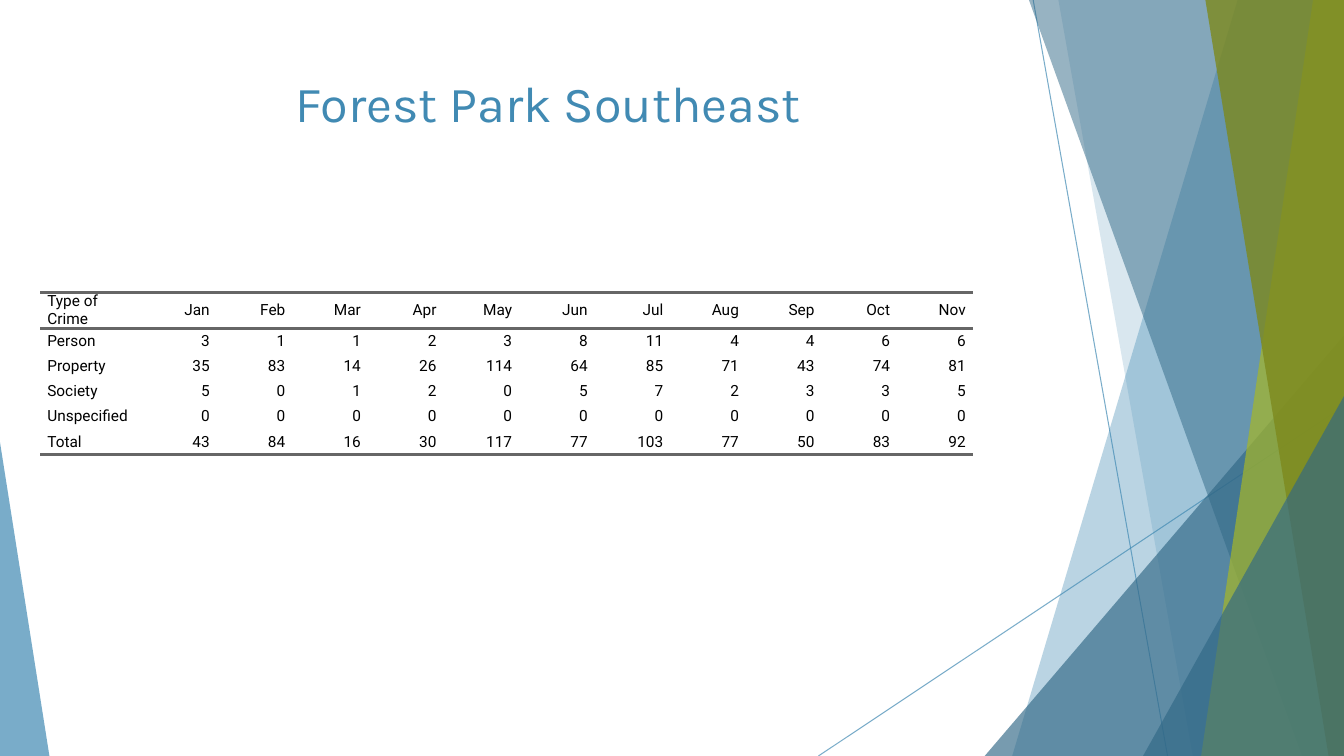
from dataclasses import dataclass
from typing import Any

from lxml import etree
from pptx import Presentation
from pptx.dml.color import RGBColor
from pptx.enum.shapes import MSO_CONNECTOR, MSO_SHAPE
from pptx.enum.text import MSO_ANCHOR, PP_ALIGN
from pptx.oxml.ns import qn
from pptx.util import Pt

STRAIGHT = MSO_CONNECTOR.STRAIGHT
TRIANGLE = MSO_SHAPE.ISOSCELES_TRIANGLE
TOP, MIDDLE = MSO_ANCHOR.TOP, MSO_ANCHOR.MIDDLE
LEFT, CENTER, RIGHT = PP_ALIGN.LEFT, PP_ALIGN.CENTER, PP_ALIGN.RIGHT


@dataclass(frozen=True)
class Theme:
    blue: str = "418AB3"
    dark_blue: str = "316886"
    green: str = "A6B727"
    dark_green: str = "7D891D"
    rule: str = "666666"
    ink: str = "000000"
    title_font: str = "Karla"
    table_font: str = "Roboto"
    title_size: float = 36
    table_size: float = 11
    hairline: float = 0.75
    rule_width: float = 2


@dataclass(frozen=True)
class Ray:
    start: tuple[float, float]
    end: tuple[float, float]


@dataclass(frozen=True)
class Ribbon:
    top_left: float
    bottom_left: float
    color: str
    opacity: int


@dataclass(frozen=True)
class Wedge:
    left: float
    top: float
    width: float
    apex: float
    color: str
    opacity: int


THEME = Theme()
WIDTH, HEIGHT = 960, 540
TITLE = "Forest Park Southeast"
TITLE_BOX = {"left": Pt(53.3), "top": Pt(48.2), "width": Pt(676.8), "height": Pt(103.7)}
TABLE_LEFT, TABLE_TOP = 28.8, 208.8
LABEL_WIDTH, MONTH_WIDTH, ROW_HEIGHT, CELL_INDENT = 72, 54, 18, 5
NO_GRID_STYLE = "{2D5ABB26-0587-4C30-8999-92F81FD0307C}"

RAYS = [Ray((738, 0), (834, HEIGHT)), Ray((WIDTH, 290), (584.6, HEIGHT))]
BANDS: list[Ribbon | Wedge] = [
    Ribbon(884, 723, THEME.blue, 36),
    Ribbon(756, 852, THEME.blue, 20),
    Wedge(703.4, 239.8, 256.6, 1, THEME.dark_blue, 66),
    Ribbon(735, 929.5, THEME.dark_blue, 50),
    Ribbon(938, 858, THEME.green, 70),
    Ribbon(861, 949, THEME.dark_green, 80),
    Wedge(816.5, 283, 143.5, 1, THEME.dark_blue, 66),
    Wedge(0, 316, 35.3, 0, THEME.blue, 70),
]

MONTHS = ["Jan", "Feb", "Mar", "Apr", "May", "Jun", "Jul", "Aug", "Sep", "Oct", "Nov"]
CRIMES = {
    "Person": [3, 1, 1, 2, 3, 8, 11, 4, 4, 6, 6],
    "Property": [35, 83, 14, 26, 114, 64, 85, 71, 43, 74, 81],
    "Society": [5, 0, 1, 2, 0, 5, 7, 2, 3, 3, 5],
    "Unspecified": [0] * len(MONTHS),
}


def apply_format(target: Any, values: dict[str, Any]) -> None:
    for name, value in values.items():
        setattr(target, name, value)


def format_font(font: Any, name: str, size: float, color: str) -> None:
    apply_format(font, {"name": name, "size": Pt(size), "bold": False})
    font.color.rgb = RGBColor.from_string(color)


def set_opacity(shape: Any, percent: int) -> None:
    color = shape.element.spPr.find(".//" + qn("a:srgbClr"))
    etree.SubElement(color, qn("a:alpha"), val=str(percent * 1000))


def draw_ray(slide: Any, ray: Ray) -> None:
    connector = slide.shapes.add_connector(STRAIGHT, *map(Pt, ray.start + ray.end))
    connector.line.width = Pt(THEME.hairline)
    connector.line.color.rgb = RGBColor.from_string(THEME.blue)
    set_opacity(connector, 70)
    etree.SubElement(connector.element.spPr, qn("a:effectLst"))


def draw_band(slide: Any, band: Ribbon | Wedge) -> None:
    if isinstance(band, Ribbon):
        builder = slide.shapes.build_freeform(band.top_left, 0, scale=Pt(1))
        builder.add_line_segments(
            [(WIDTH, 0), (WIDTH, HEIGHT), (band.bottom_left, HEIGHT)], close=True
        )
        shape = builder.convert_to_shape()
    else:
        box = (band.left, band.top, band.width, HEIGHT - band.top)
        shape = slide.shapes.add_shape(TRIANGLE, *map(Pt, box))
        shape.adjustments[0] = band.apex
    shape.shadow.inherit = False
    shape.line.fill.background()
    shape.fill.solid()
    shape.fill.fore_color.rgb = RGBColor.from_string(band.color)
    set_opacity(shape, band.opacity)


def add_rule(cell: Any, tag: str) -> None:
    line = etree.Element(qn(tag), w=str(Pt(THEME.rule_width)))
    fill = etree.SubElement(line, qn("a:solidFill"))
    etree.SubElement(fill, qn("a:srgbClr"), val=THEME.rule)
    cell._tc.get_or_add_tcPr().insert(0, line)


def fill_cell(cell: Any, text: str, alignment: Any) -> None:
    cell.text = text
    cell.fill.background()
    margins = ("margin_left", "margin_right", "margin_top", "margin_bottom")
    apply_format(cell, {"vertical_anchor": MIDDLE} | dict.fromkeys(margins, 0))
    paragraph = cell.text_frame.paragraphs[0]
    paragraph.alignment = alignment
    properties = paragraph._p.get_or_add_pPr()
    for name in ("marL", "marR"):
        properties.set(name, str(Pt(CELL_INDENT)))
    format_font(paragraph.runs[0].font, THEME.table_font, THEME.table_size, THEME.ink)


def draw_table(slide: Any) -> None:
    totals = [sum(month) for month in zip(*CRIMES.values())]
    counts = CRIMES | {"Total": totals}
    rows = [["Type of Crime", *MONTHS]] + [[name, *values] for name, values in counts.items()]
    widths = [LABEL_WIDTH] + [MONTH_WIDTH] * len(MONTHS)
    box = (TABLE_LEFT, TABLE_TOP, sum(widths), ROW_HEIGHT * len(rows))
    frame = slide.shapes.add_table(len(rows), len(widths), *map(Pt, box))
    table = frame.table
    apply_format(table, {"first_row": False, "horz_banding": False})
    next(frame.element.iter(qn("a:tableStyleId"))).text = NO_GRID_STYLE
    for column, width in zip(table.columns, widths):
        column.width = Pt(width)
    for row_index, values in enumerate(rows):
        table.rows[row_index].height = Pt(ROW_HEIGHT)
        for column_index, value in enumerate(values):
            cell = table.cell(row_index, column_index)
            fill_cell(cell, str(value), RIGHT if column_index else LEFT)
            if row_index in (0, len(rows) - 1):
                add_rule(cell, "a:lnB")
            if row_index == 0:
                add_rule(cell, "a:lnT")


def write_title(slide: Any) -> None:
    title = slide.shapes.title
    apply_format(title, TITLE_BOX)
    title.text_frame.text = TITLE
    apply_format(title.text_frame, {"vertical_anchor": TOP, "word_wrap": True})
    paragraph = title.text_frame.paragraphs[0]
    paragraph.alignment = CENTER
    format_font(paragraph.runs[0].font, THEME.title_font, THEME.title_size, THEME.blue)


def main() -> None:
    presentation = Presentation()
    apply_format(presentation, {"slide_width": Pt(WIDTH), "slide_height": Pt(HEIGHT)})
    slide = presentation.slides.add_slide(presentation.slide_layouts[5])
    for ray in RAYS:
        draw_ray(slide, ray)
    for band in BANDS:
        draw_band(slide, band)
    draw_table(slide)
    write_title(slide)
    presentation.save("out.pptx")


if __name__ == "__main__":
    main()
